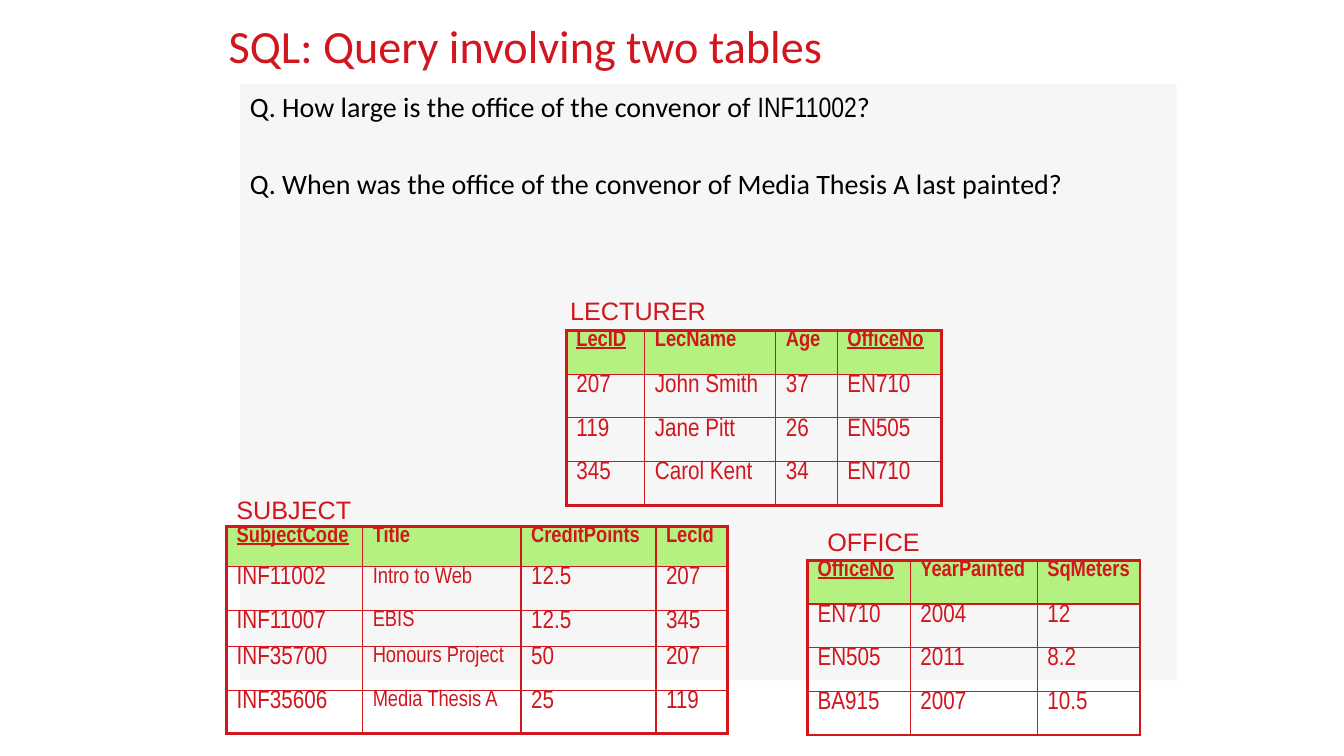
from lxml import etree
from pptx import Presentation
from pptx import util as u
from pptx.dml.color import RGBColor
from pptx.enum import shapes, text
from pptx.oxml.ns import qn

RED = RGBColor(0xD1, 0x16, 0x1E)
GREEN = RGBColor(0xB4, 0xF1, 0x80)
GREY = RGBColor(0xF6, 0xF6, 0xF6)
BLACK = RGBColor(0, 0, 0)
THICK, THIN = u.Pt(2.25), u.Pt(1)
ROW = 1.1


def write(para, words, font="Arial", size=18, color=RED, bold=False, underline=False):
    """Add a formatted span of text to a paragraph."""
    span = para.add_run()
    span.text = words
    span.font.name = font
    span.font.size = u.Pt(size)
    span.font.color.rgb = color
    span.font.bold = bold
    span.font.underline = underline


def add_title(page, words):
    """Place the title at the top left and fill it."""
    title = page.shapes.title
    title.left, title.top = u.Cm(5.51), u.Cm(0.3)
    title.width, title.height = u.Cm(22.86), u.Cm(2.95)
    frame = title.text_frame
    frame.auto_size = text.MSO_AUTO_SIZE.NONE
    frame.vertical_anchor = text.MSO_ANCHOR.TOP
    para = frame.paragraphs[0]
    para.alignment = text.PP_ALIGN.LEFT
    write(para, words, font="Calibri", size=33)


def add_questions(page, questions):
    """Draw the grey panel with one paragraph per question."""
    panel = page.shapes.add_shape(
        shapes.MSO_SHAPE.RECTANGLE, u.Cm(6.05), u.Cm(2.13), u.Cm(23.6), u.Cm(15.01))
    panel.shadow.inherit = False
    panel.fill.solid()
    panel.fill.fore_color.rgb = GREY
    panel.line.fill.background()
    frame = panel.text_frame
    frame.word_wrap = True
    frame.vertical_anchor = text.MSO_ANCHOR.TOP
    for index, spans in enumerate(questions):
        para = frame.add_paragraph() if index else frame.paragraphs[0]
        para.alignment = text.PP_ALIGN.LEFT
        if index:
            para.space_before = u.Pt(31)
        for words, font in spans:
            write(para, words, font=font, size=20, color=BLACK)


def add_label(page, words, left, top, width):
    """Add the name of a table above it."""
    box = page.shapes.add_textbox(u.Cm(left), u.Cm(top), u.Cm(width), u.Cm(1.02))
    box.text_frame.word_wrap = False
    write(box.text_frame.paragraphs[0], words)


def set_border(cell, side, width):
    """Draw one red side of a cell."""
    line = etree.SubElement(cell._tc.get_or_add_tcPr(), qn("a:ln" + side), w=str(width))
    fill = etree.SubElement(line, qn("a:solidFill"))
    etree.SubElement(fill, qn("a:srgbClr"), val=str(RED))


def add_grid(page, left, top, columns, heights, rows, keys, small=()):
    """Add a framed table with a green header, underlined keys and small columns."""
    grid = page.shapes.add_table(
        len(rows), len(columns), u.Cm(left), u.Cm(top),
        u.Cm(sum(columns)), u.Cm(sum(heights))).table
    grid.first_row = grid.horz_banding = False
    for column, width in zip(grid.columns, columns):
        column.width = u.Cm(width)
    for row, height in zip(grid.rows, heights):
        row.height = u.Cm(height)
    for r, values in enumerate(rows):
        for c, value in enumerate(values):
            cell = grid.cell(r, c)
            header = r == 0
            cell.margin_top = cell.margin_bottom = 0
            edges = {"L": c == 0, "R": c == len(columns) - 1,
                     "T": header, "B": r == len(rows) - 1}
            for side, outer in edges.items():
                set_border(cell, side, THICK if outer else THIN)
            if header:
                cell.fill.solid()
                cell.fill.fore_color.rgb = GREEN
            else:
                cell.fill.background()
            para = cell.text_frame.paragraphs[0]
            indent = u.Cm(0.74)
            properties = para._p.get_or_add_pPr()
            properties.set("marL", str(indent))
            properties.set("indent", str(-indent))
            write(para, value, font="Arial Narrow",
                  size=16 if header or c in small else 18,
                  bold=header, underline=header and value in keys)


def main():
    """Build the slide and save it."""
    deck = Presentation()
    deck.slide_width, deck.slide_height = u.Cm(33.87), u.Cm(19.05)
    page = deck.slides.add_slide(deck.slide_layouts[5])
    add_title(page, "SQL: Query involving two tables")
    add_questions(page, [
        [("Q. How large is the office of the convenor of ", "Calibri"),
         ("INF11002", "Arial Narrow"), ("?", "Calibri")],
        [("Q. When was the office of the convenor of Media Thesis A last painted?",
          "Calibri")],
    ])
    add_grid(page, 5.71, 13.26, [3.43, 3.99, 3.4, 1.8], [1.02, ROW, 0.91, ROW, ROW], [
        ["SubjectCode", "Title", "CreditPoints", "LecId"],
        ["INF11002", "Intro to Web", "12.5", "207"],
        ["INF11007", "EBIS", "12.5", "345"],
        ["INF35700", "Honours Project", "50", "207"],
        ["INF35606", "Media Thesis A", "25", "119"],
    ], keys={"SubjectCode"}, small={1})
    add_label(page, "SUBJECT", 5.71, 12.32, 3.48)
    add_grid(page, 14.27, 8.33, [1.98, 3.3, 1.55, 2.62], [ROW] * 4, [
        ["LecID", "LecName", "Age", "OfficeNo"],
        ["207", "John Smith", "37", "EN710"],
        ["119", "Jane Pitt", "26", "EN505"],
        ["345", "Carol Kent", "34", "EN710"],
    ], keys={"LecID", "OfficeNo"})
    add_label(page, "LECTURER", 14.12, 7.32, 3.96)
    add_grid(page, 20.35, 14.12, [2.59, 3.2, 2.59], [ROW] * 4, [
        ["OfficeNo", "YearPainted", "SqMeters"],
        ["EN710", "2004", "12"],
        ["EN505", "2011", "8.2"],
        ["BA915", "2007", "10.5"],
    ], keys={"OfficeNo"})
    add_label(page, "OFFICE", 20.6, 13.13, 2.84)
    deck.save("out.pptx")


if __name__ == "__main__":
    main()
